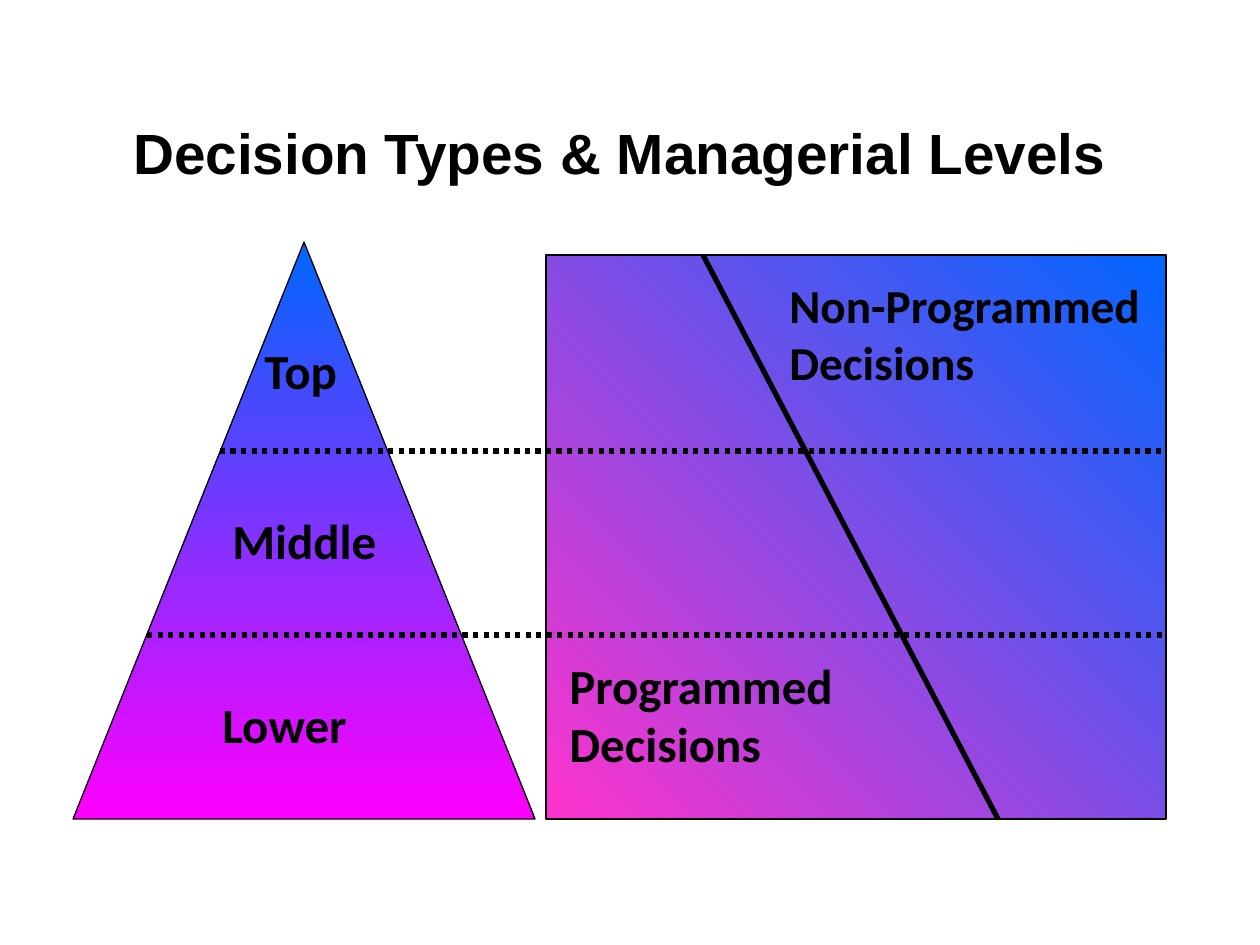
from lxml import etree
from pptx import Presentation
from pptx.dml.color import RGBColor
from pptx.enum.dml import MSO_LINE as Dash
from pptx.enum.shapes import MSO_CONNECTOR as Connector, MSO_SHAPE as Shape
from pptx.enum.text import MSO_ANCHOR as Anchor, MSO_AUTO_SIZE as AutoSize, PP_ALIGN as Align
from pptx.oxml.ns import qn
from pptx.util import Inches, Pt

PX_PER_INCH = 126
BLANK_LAYOUT = 6

BLACK = RGBColor(0x00, 0x00, 0x00)
BLUE = RGBColor(0x00, 0x66, 0xFF)
MAGENTA = RGBColor(0xFF, 0x00, 0xFF)
PINK = RGBColor(0xFF, 0x33, 0xCC)


def px(*lengths):
    return [Inches(length / PX_PER_INCH) for length in lengths]


class SlideBuilder:
    title_font = "Arial"
    label_font = "Calibri"
    ink = BLACK

    def __init__(self, slide):
        self.shapes = slide.shapes

    def gradient_shape(self, kind, box, colors, angle):
        """Add an outlined shape; angle runs counter-clockwise from the right."""
        shape = self.shapes.add_shape(kind, *px(*box))
        shape.shadow.inherit = False
        shape.fill.gradient()
        shape.fill.gradient_angle = angle
        for stop, color in zip(shape.fill.gradient_stops, colors):
            stop.color.rgb = color
        shape.line.color.rgb = self.ink
        shape.line.width = Pt(0.75)

    def text(self, words, box, size, font):
        frame = self.shapes.add_textbox(*px(*box)).text_frame
        frame.text = words
        for paragraph in frame.paragraphs:
            for run in paragraph.runs:
                run.font.name = font
                run.font.size = Pt(size)
                run.font.bold = True
                run.font.color.rgb = self.ink
        return frame

    def title(self, words, box):
        frame = self.text(words, box, 32.4, self.title_font)
        frame.word_wrap = True
        frame.vertical_anchor = Anchor.MIDDLE
        frame.paragraphs[0].alignment = Align.CENTER

    def label(self, words, box, size=28):
        frame = self.text(words, box, size, self.label_font)
        frame.word_wrap = False
        frame.auto_size = AutoSize.SHAPE_TO_FIT_TEXT

    def line(self, start, end, dash=None):
        line = self.shapes.add_connector(Connector.STRAIGHT, *px(*start, *end))
        line.line.color.rgb = self.ink
        line.line.width = Pt(3)
        if dash is not None:
            line.line.dash_style = dash
        etree.SubElement(line._element.spPr, qn("a:effectLst"))


def main():
    presentation = Presentation()
    presentation.slide_width, presentation.slide_height = Inches(10), Inches(7.5)
    layout = presentation.slide_layouts[BLANK_LAYOUT]
    builder = SlideBuilder(presentation.slides.add_slide(layout))

    builder.title("Decision Types & Managerial Levels", (84, 73, 1071, 158))

    decisions_left, decisions_top, decisions_width, decisions_height = 546, 255, 620, 564
    decisions_right = decisions_left + decisions_width
    decisions_bottom = decisions_top + decisions_height
    builder.gradient_shape(Shape.ISOSCELES_TRIANGLE, (73, 242, 462, 577), (BLUE, MAGENTA), 270)
    builder.gradient_shape(
        Shape.RECTANGLE,
        (decisions_left, decisions_top, decisions_width, decisions_height),
        (PINK, BLUE),
        45,
    )

    levels = [
        ("Top", 252, 334, 110),
        ("Middle", 220, 504, 175),
        ("Lower", 210, 688, 161),
    ]
    for level, left, top, width in levels:
        builder.label(level, (left, top, width, 77))

    builder.label("Programmed\nDecisions", (557, 649, 302, 141))
    builder.label("Non-Programmed\nDecisions", (777, 270, 393, 136), size=27)

    for left, y in [(220, 451), (147, 635)]:
        builder.line((left, y), (decisions_right, y), Dash.ROUND_DOT)
    builder.line((703, decisions_top), (998, decisions_bottom))

    presentation.save("out.pptx")


if __name__ == "__main__":
    main()
